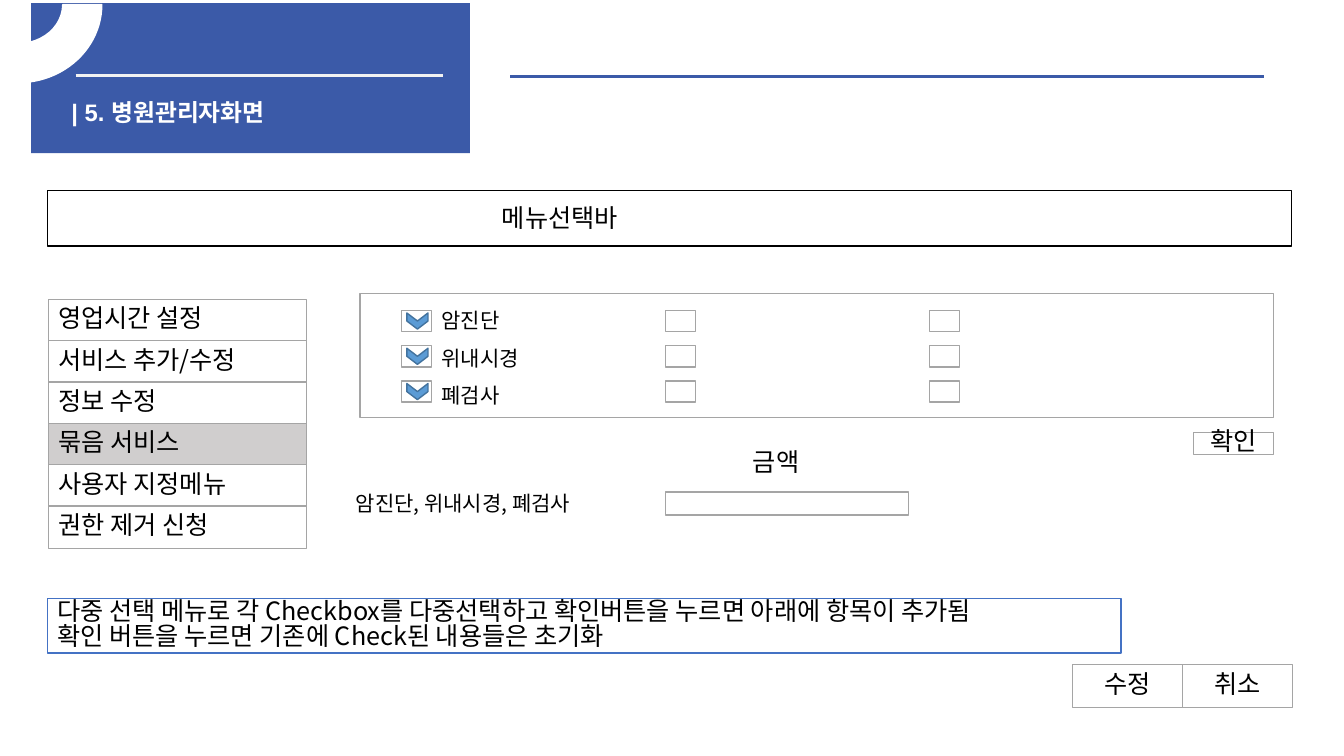
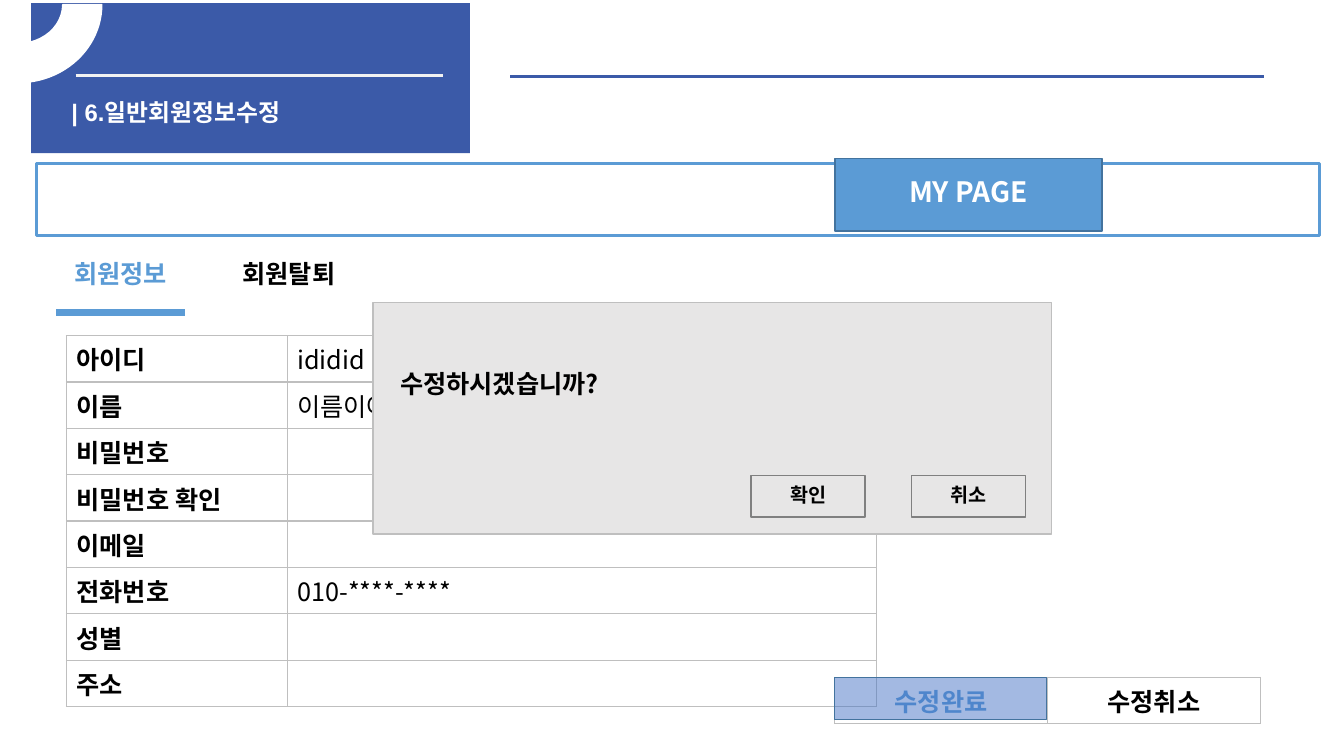
from lxml import etree
from pptx import Presentation
from pptx.dml.color import RGBColor
from pptx.enum.shapes import MSO_CONNECTOR, MSO_SHAPE
from pptx.enum.text import MSO_ANCHOR, PP_ALIGN
from pptx.oxml.ns import qn
from pptx.util import Pt

EMU_PER_PX = 9144  # 100 px to the inch
BODY_FONT, TITLE_FONT = "Noto Sans CJK KR", "Arial"
LEFT, CENTER = PP_ALIGN.LEFT, PP_ALIGN.CENTER
TOP, MIDDLE = MSO_ANCHOR.TOP, MSO_ANCHOR.MIDDLE
RECT, PROCESS = MSO_SHAPE.RECTANGLE, MSO_SHAPE.FLOWCHART_PROCESS
CHEVRON, BLOCK_ARC = MSO_SHAPE.CHEVRON, MSO_SHAPE.BLOCK_ARC
STRAIGHT = MSO_CONNECTOR.STRAIGHT

COLORS = {
    "brand": "3B5AA8", "rule": "F2F2F2", "white": "FFFFFF", "black": "000000",
    "frame": "A5A5A5", "selected": "D0CECE", "accent": "5B9BD5",
    "accent_edge": "43739E", "note": "4472C4", "grid": "BFBFBF",
    "dialog": "E7E6E6", "button_edge": "808080",
}


def px(value):
    return round(value * EMU_PER_PX)


def area(left, top, width, height):
    return px(left), px(top), px(width), px(height)


def rgb(name):
    return RGBColor.from_string(COLORS[name])


def write(frame, text, size=18, color="black", bold=False, align=LEFT,
          font=BODY_FONT, spacing=0.82):
    """Put each line of text into its own paragraph."""
    for index, line in enumerate(text.split("\n")):
        paragraph = frame.add_paragraph() if index else frame.paragraphs[0]
        paragraph.alignment = align
        paragraph.line_spacing = spacing
        run = paragraph.add_run()
        run.text = line
        run.font.name, run.font.size, run.font.bold = font, Pt(size), bold
        run.font.color.rgb = rgb(color)
        east_asian = etree.SubElement(run.font._element, qn("a:ea"))
        east_asian.set("typeface", BODY_FONT)


def box(slide, bounds, text="", kind=RECT, fill="white", line="frame",
        weight=1, **style):
    shape = slide.shapes.add_shape(kind, *area(*bounds))
    shape.shadow.inherit = False
    if fill:
        shape.fill.solid()
        shape.fill.fore_color.rgb = rgb(fill)
    else:
        shape.fill.background()
    if line:
        shape.line.color.rgb = rgb(line)
        shape.line.width = Pt(weight)
    else:
        shape.line.fill.background()
    if text:
        shape.text_frame.vertical_anchor = MIDDLE
        write(shape.text_frame, text, **style)
    return shape


def label(slide, bounds, text, **style):
    frame = slide.shapes.add_textbox(*area(*bounds)).text_frame
    frame.word_wrap = True
    frame.vertical_anchor = TOP
    write(frame, text, **style)


def horizontal_rule(slide, left, right, y, color, weight):
    rule = slide.shapes.add_connector(STRAIGHT, px(left), px(y), px(right), px(y))
    rule.line.color.rgb = rgb(color)
    rule.line.width = Pt(weight)
    etree.SubElement(rule._element.spPr, qn("a:effectLst"))


def outline_cell(cell):
    properties = cell._tc.get_or_add_tcPr()
    for side in ("lnL", "lnR", "lnT", "lnB"):
        border = etree.SubElement(properties, qn(f"a:{side}"), w=str(Pt(1)))
        fill = etree.SubElement(border, qn("a:solidFill"))
        etree.SubElement(fill, qn("a:srgbClr"), val=COLORS["grid"])


def grid(slide, left, top, widths, row_height, rows):
    """Draw a plain table; each cell is a (text, style) pair."""
    bounds = area(left, top, sum(widths), row_height * len(rows))
    table = slide.shapes.add_table(len(rows), len(widths), *bounds).table
    table.first_row = table.horz_banding = False
    for column, width in zip(table.columns, widths):
        column.width = px(width)
    for r, row in enumerate(rows):
        for c, (text, style) in enumerate(row):
            cell = table.cell(r, c)
            outline_cell(cell)
            cell.fill.background()
            cell.vertical_anchor = MIDDLE
            if text:
                write(cell.text_frame, text, spacing=1.0, **style)


def set_opacity(shape, percent):
    color = shape._element.spPr.find(qn("a:solidFill"))[0]
    etree.SubElement(color, qn("a:alpha"), val=str(percent * 1000))


def titled_slide(deck, title):
    slide = deck.slides.add_slide(deck.slide_layouts[6])
    box(slide, (31, 3, 435, 149), fill="brand", line=None)
    horizontal_rule(slide, 75, 439, 75, "rule", 2.25)
    horizontal_rule(slide, 506, 1254, 76, "brand", 2.25)
    label(slide, (61, 95, 283, 39), title, size=17, color="white", bold=True,
          font=TITLE_FONT, spacing=0.9)
    arc = box(slide, (-65, -73, 166, 155), kind=BLOCK_ARC, line="white")
    for index, value in enumerate((0, 54, 0.25)):  # lower right quarter ring
        arc.adjustments[index] = value
    return slide


def hospital_admin_slide(deck):
    slide = titled_slide(deck, "| 5. 병원관리자화면")

    box(slide, (47, 189, 1234, 55), fill=None, line="black")
    label(slide, (488, 201, 200, 32), "메뉴선택바")

    menu = ("영업시간 설정", "서비스 추가/수정", "정보 수정", "묶음 서비스",
            "사용자 지정메뉴", "권한 제거 신청")
    for row, item in enumerate(menu):
        box(slide, (48, 297 + 41 * row, 256, 42), item,
            fill="selected" if item == "묶음 서비스" else "white")

    box(slide, (357, 291, 906, 123))
    services = ("암진단", "위내시경", "폐검사")
    for row, service in enumerate(services):
        check_top = 308 + 35 * row
        for column in range(3):
            box(slide, (398 + 262 * column, check_top, 30, 21))
        check = box(slide, (406, check_top, 16, 21), kind=CHEVRON,
                    fill="accent", line="accent_edge")
        check.rotation = 90
        label(slide, (428, 305 + 37 * row, 115, 28), service, size=15)

    label(slide, (343, 486, 281, 28), ", ".join(services), size=15)
    label(slide, (737, 443, 100, 32), "금액")
    box(slide, (660, 488, 241, 23))

    box(slide, (1184, 429, 79, 22), "확인", align=CENTER)
    for column, action in enumerate(("수정", "취소")):
        box(slide, (1064 + 109 * column, 659, 109, 43), action, align=CENTER)
    box(slide, (47, 594, 1065, 54),
        "다중 선택 메뉴로 각 Checkbox를 다중선택하고 확인버튼을 누르면 아래에 항목이 추가됨\n"
        "확인 버튼을 누르면 기존에 Check된 내용들은 초기화",
        kind=PROCESS, line="note")


def member_edit_slide(deck):
    slide = titled_slide(deck, "| 6.일반회원정보수정")

    box(slide, (36, 162, 1273, 72), fill=None, line="accent", weight=2.25)
    box(slide, (828, 157, 265, 72), "MY PAGE", fill="accent",
        line="accent_edge", size=20, color="white", bold=True, align=CENTER)

    tabs = (("회원정보", "accent"), ("회원탈퇴", "black"))
    for column, (tab, color) in enumerate(tabs):
        box(slide, (36 + 167 * column, 238, 167, 72), tab, fill=None,
            line=None, color=color, bold=True, align=CENTER)
    horizontal_rule(slide, 56, 183, 310, "accent", 4.5)

    member = (("아이디", "ididid"), ("이름", "이름이야"), ("비밀번호", ""),
              ("비밀번호 확인", ""), ("이메일", ""),
              ("전화번호", "010-****-****"), ("성별", ""), ("주소", ""))
    grid(slide, 66, 333, (219, 584), 46,
         [((field, {"bold": True}), (value, {})) for field, value in member])
    action = {"bold": True, "align": CENTER}
    grid(slide, 828, 672, (211, 211), 46,
         [(("수정완료", {"color": "accent", **action}), ("수정취소", action))])

    box(slide, (370, 300, 673, 230), fill="dialog", line="grid")
    label(slide, (387, 366, 400, 36), "수정하시겠습니까?", bold=True)
    for column, answer in enumerate(("확인", "취소")):
        box(slide, (745 + 159 * column, 472, 113, 41), answer, fill="dialog",
            line="button_edge", size=14, bold=True, align=CENTER)

    pressed = box(slide, (828, 672, 210, 42), fill="note", line="accent_edge")
    set_opacity(pressed, 49)


def main():
    deck = Presentation()
    deck.slide_width, deck.slide_height = px(1333), px(750)
    hospital_admin_slide(deck)
    member_edit_slide(deck)
    deck.save("out.pptx")


if __name__ == "__main__":
    main()
